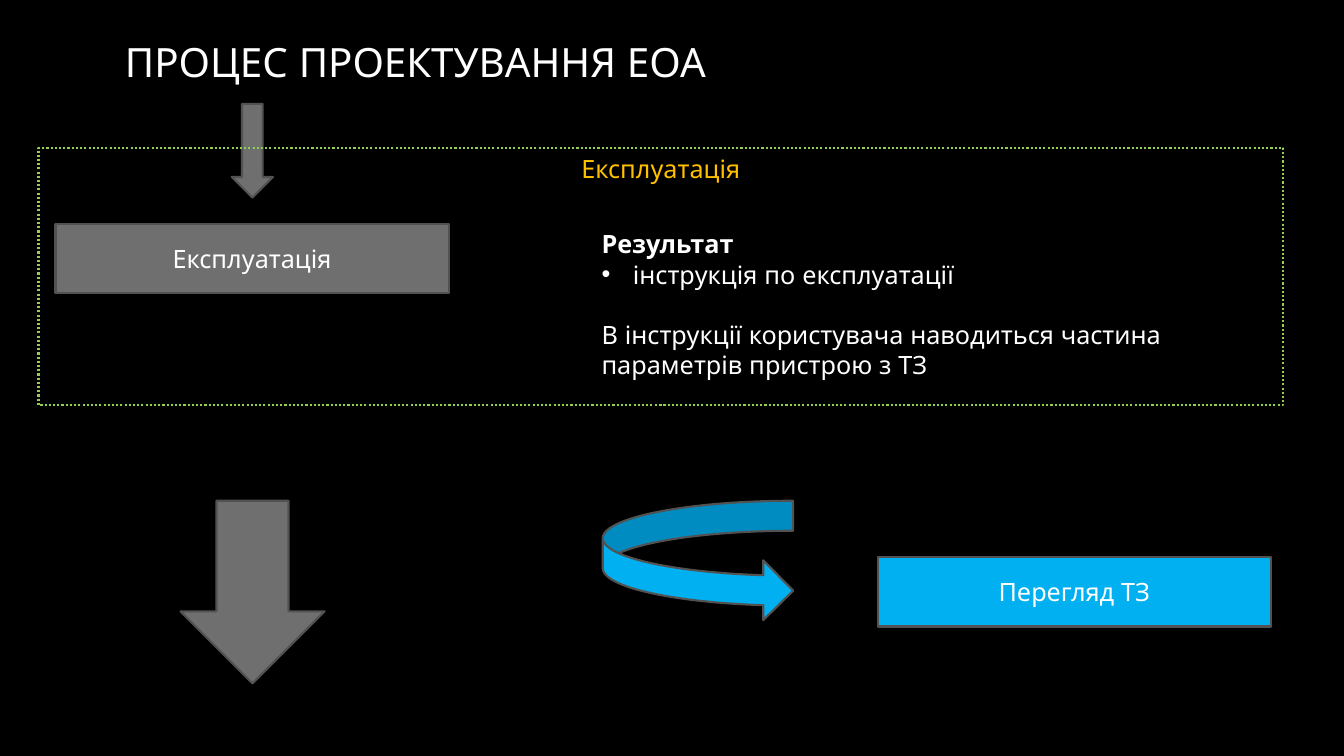
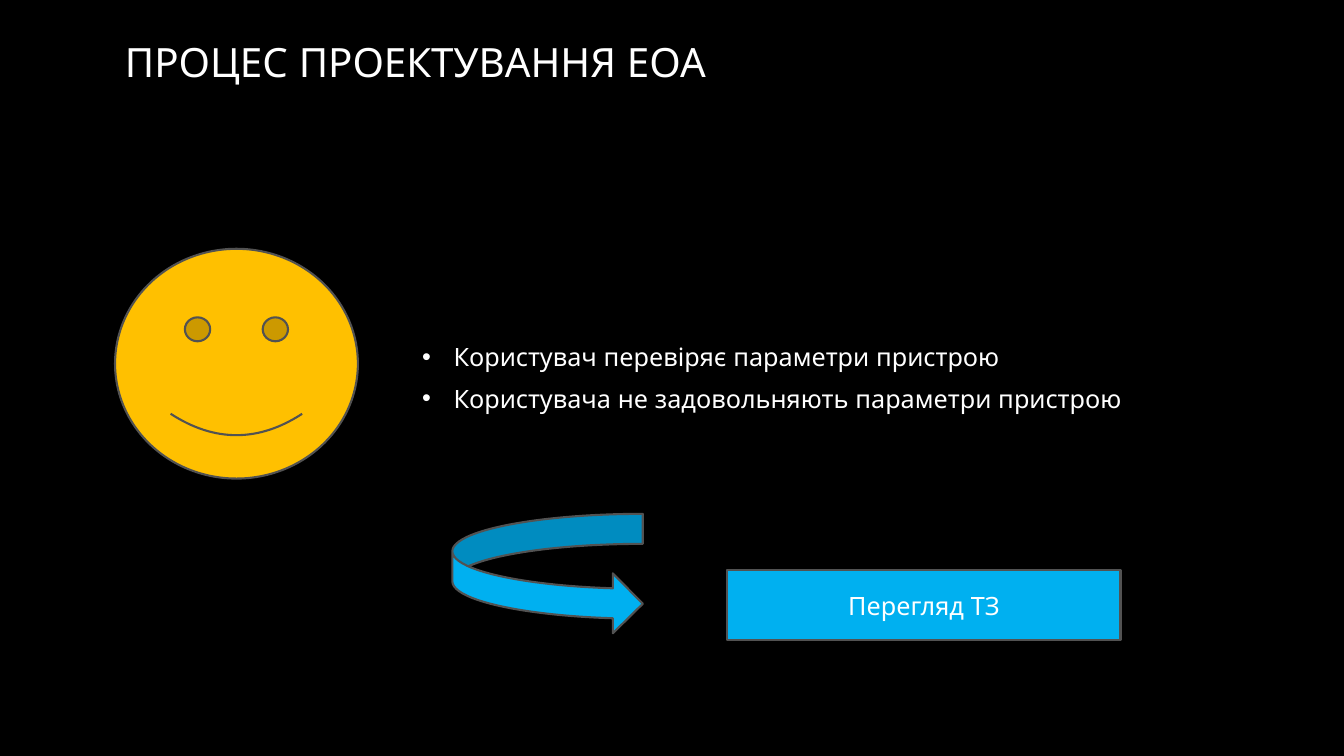
"""Build two slides on the design process of electronic devices."""
from lxml.etree import SubElement
from pptx import Presentation
from pptx.dml.color import RGBColor
from pptx.enum.dml import MSO_LINE
from pptx.enum.shapes import MSO_SHAPE as Preset
from pptx.enum.text import MSO_ANCHOR as Anchor, MSO_AUTO_SIZE as AutoSize, PP_ALIGN as Align
from pptx.oxml.ns import qn
from pptx.util import Cm, Pt

BLACK = RGBColor(0x00, 0x00, 0x00)
WHITE = RGBColor(0xFF, 0xFF, 0xFF)
GRAY = RGBColor(0x6F, 0x6F, 0x6F)
OUTLINE = RGBColor(0x52, 0x52, 0x52)
BLUE = RGBColor(0x00, 0xB0, 0xF0)
AMBER = RGBColor(0xFF, 0xC0, 0x00)
GREEN = RGBColor(0x92, 0xD0, 0x50)
FONT = "Quicksand"
BODY_SIZE = 18
TITLE_SIZE = 28.8

TITLE = "ПРОЦЕС ПРОЕКТУВАННЯ ЕОА"
STAGE = "Експлуатація"
REVIEW = "Перегляд ТЗ"
RESULT_HEADING = "Результат"
RESULT_ITEM = "інструкція по експлуатації"
RESULT_NOTE = "В інструкції користувача наводиться частина параметрів пристрою з ТЗ"
USER_STEPS = [
    "Користувач перевіряє параметри пристрою",
    "Користувача не задовольняють параметри пристрою",
]

TITLE_AREA = (2.9, 0.91, 27.51, 1.27)
STEP_SIZE = (9.91, 1.75)
TURN_SIZE = (4.8, 3.02)
REVIEW_OFFSET = (6.93, 1.42)
RESULT_LEFT, RESULT_WIDTH = 14.91, 17.42


def write(shape, lines, color=WHITE, size=BODY_SIZE, align=Align.LEFT, anchor=Anchor.TOP):
    frame = shape.text_frame
    frame.word_wrap = True
    frame.vertical_anchor = anchor
    frame.text = "\n".join(lines)
    for para in frame.paragraphs:
        para.alignment = align
        for span in para.runs:
            span.font.name = FONT
            span.font.size = Pt(size)
            span.font.color.rgb = color
    return frame.paragraphs


def add_text(shapes, area, lines, **style):
    box = shapes.add_textbox(*map(Cm, area))
    paras = write(box, lines, **style)
    box.text_frame.auto_size = AutoSize.SHAPE_TO_FIT_TEXT
    return paras


def add_bullet(para):
    props = para._p.get_or_add_pPr()
    props.set("marL", str(Cm(0.79)))
    props.set("indent", str(-Cm(0.79)))
    SubElement(props, qn("a:buFont"), typeface="Arial")
    SubElement(props, qn("a:buChar"), char="•")


def add_preset(shapes, preset, area, fill):
    shape = shapes.add_shape(preset, *map(Cm, area))
    shape.shadow.inherit = False
    shape.fill.solid()
    shape.fill.fore_color.rgb = fill
    shape.line.color.rgb = OUTLINE
    shape.line.width = Pt(1.5)
    return shape


def add_step(shapes, left, top, text, fill):
    step = add_preset(shapes, Preset.RECTANGLE, (left, top, *STEP_SIZE), fill)
    write(step, [text], align=Align.CENTER, anchor=Anchor.MIDDLE)


def add_review(page, left, top):
    shapes = page.shapes.add_group_shape().shapes
    add_step(shapes, left + REVIEW_OFFSET[0], top + REVIEW_OFFSET[1], REVIEW, BLUE)
    add_preset(shapes, Preset.CURVED_RIGHT_ARROW, (left, top, *TURN_SIZE), BLUE)


def add_stage(page):
    shapes = page.shapes.add_group_shape().shapes
    add_step(shapes, 1.4, 5.64, STAGE, GRAY)
    border = add_preset(shapes, Preset.RECTANGLE, (0.97, 3.73, 31.37, 6.48), BLACK)
    border.fill.background()
    border.line.color.rgb = GREEN
    border.line.dash_style = MSO_LINE.ROUND_DOT
    write(border, [STAGE], color=AMBER, align=Align.CENTER)
    heading, item = add_text(
        shapes, (RESULT_LEFT, 5.64, RESULT_WIDTH, 1.8), [RESULT_HEADING, RESULT_ITEM])
    heading.runs[0].font.bold = True
    add_bullet(item)
    add_text(shapes, (RESULT_LEFT, 7.92, RESULT_WIDTH, 1.8), [RESULT_NOTE])


def add_page(deck):
    page = deck.slides.add_slide(deck.slide_layouts[6])
    page.background.fill.solid()
    page.background.fill.fore_color.rgb = BLACK
    title = page.shapes.add_textbox(*map(Cm, TITLE_AREA))
    write(title, [TITLE], size=TITLE_SIZE, anchor=Anchor.MIDDLE)
    return page


def build_operation(deck):
    page = add_page(deck)
    add_preset(page.shapes, Preset.DOWN_ARROW, (5.84, 2.62, 1.04, 2.36), GRAY)
    add_stage(page)
    add_review(page, 15.19, 12.62)
    add_preset(page.shapes, Preset.DOWN_ARROW, (4.55, 12.62, 3.63, 4.6), GRAY)


def build_user_check(deck):
    page = add_page(deck)
    add_preset(page.shapes, Preset.SMILEY_FACE, (2.9, 6.27, 6.12, 5.79), AMBER)
    paras = add_text(page.shapes, (10.39, 8.48, 18.85, 2.04), USER_STEPS)
    for para in paras:
        add_bullet(para)
    for para in paras[1:]:
        para.space_before = Pt(8)
    add_review(page, 11.4, 12.95)


def main():
    deck = Presentation()
    deck.slide_width, deck.slide_height = Cm(33.87), Cm(19.05)
    build_operation(deck)
    build_user_check(deck)
    deck.save("out.pptx")


if __name__ == "__main__":
    main()
